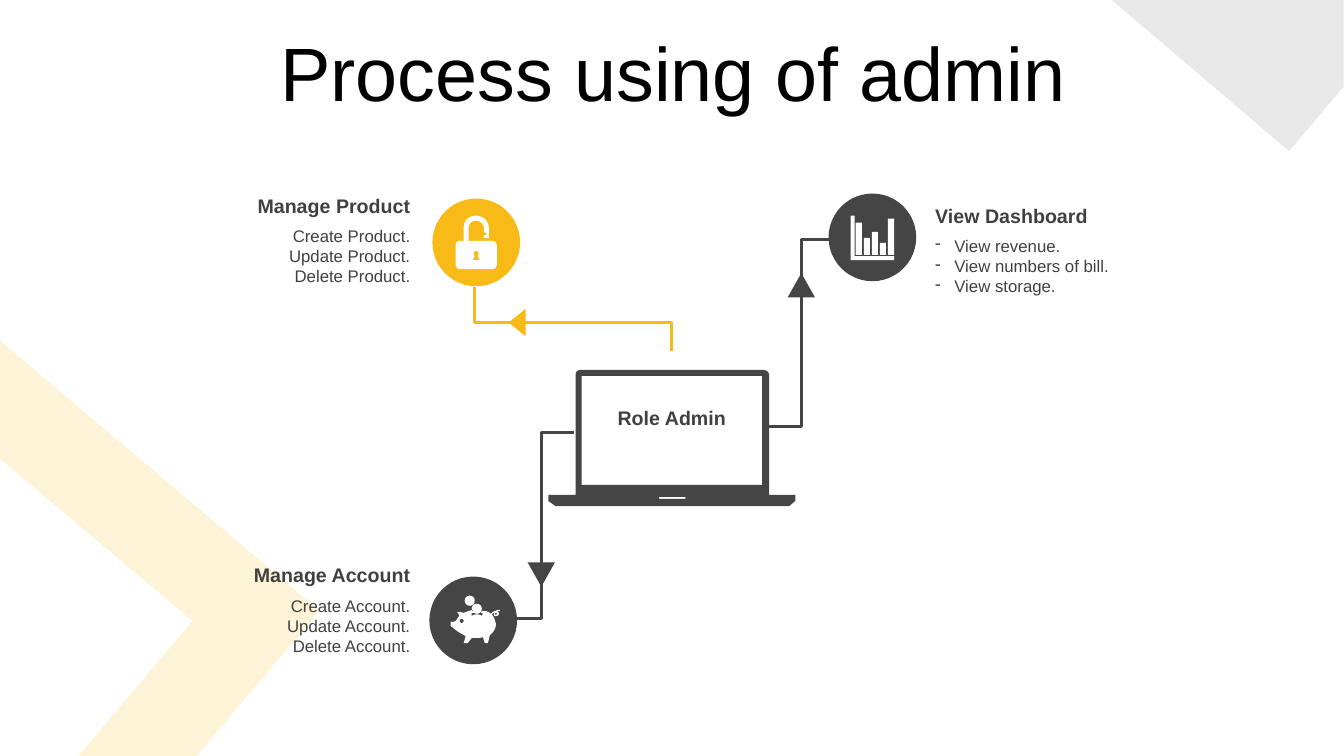
from dataclasses import dataclass
from math import cos, pi, sin

from lxml.etree import SubElement
from pptx import Presentation
from pptx.dml.color import RGBColor
from pptx.enum.shapes import MSO_SHAPE
from pptx.enum.text import MSO_ANCHOR, MSO_AUTO_SIZE, PP_ALIGN
from pptx.oxml.ns import qn
from pptx.util import Pt

PX = 9144  # EMU in one px, 100 px to the inch


@dataclass(frozen=True)
class Theme:
    font: str = "Arial"
    black: str = "000000"
    white: str = "FFFFFF"
    text: str = "404040"
    dark: str = "454545"
    gold: str = "F8BA16"
    title: int = 54
    head: int = 14
    body: int = 12
    line: float = 2.25


T = Theme()


def rgb(color):
    return RGBColor.from_string(color)


def paint(shape, color, alpha=None):
    shape.shadow.inherit = False
    shape.line.fill.background()
    shape.fill.solid()
    shape.fill.fore_color.rgb = rgb(color)
    if alpha:
        tint = shape.fill._xPr.find(".//" + qn("a:srgbClr"))
        SubElement(tint, qn("a:alpha")).set("val", str(alpha * 1000))


# Outlines: a pair is a corner, six numbers are a Bezier curve
def trace(path):
    points = []
    for step in path:
        if len(step) == 2:
            points.append(step)
            continue
        ax, ay = points[-1]
        bx, by, cx, cy, dx, dy = step
        for i in range(1, 9):
            t = i / 8
            u = 1 - t
            w = u ** 3, 3 * u * u * t, 3 * u * t * t, t ** 3
            points.append((w[0] * ax + w[1] * bx + w[2] * cx + w[3] * dx,
                           w[0] * ay + w[1] * by + w[2] * cy + w[3] * dy))
    return points


def disc(x, y, r):
    return [(x + r * cos(i * pi / 12), y + r * sin(i * pi / 12)) for i in range(24)]


def rect(x1, y1, x2, y2):
    return [(x1, y1), (x2, y1), (x2, y2), (x1, y2)]


def draw(slide, left, top, paths, close=True):
    pen = None
    for path in paths:
        points = [((left + x) * PX, (top + y) * PX) for x, y in trace(path)]
        if pen is None:
            pen = slide.shapes.build_freeform(*points[0])
        else:
            pen.move_to(*points[0])
        pen.add_line_segments(points[1:], close=close)
    return pen.convert_to_shape()


def preset(slide, kind, x, y, w, h, color, turn=0):
    shape = slide.shapes.add_shape(kind, x * PX, y * PX, w * PX, h * PX)
    shape.rotation = turn
    paint(shape, color)


def write(slide, x, y, w, h, lines, size, align, bold=False, dash=False):
    frame = slide.shapes.add_textbox(x * PX, y * PX, w * PX, h * PX).text_frame
    frame.word_wrap = True
    frame.text = "\n".join(lines)
    for para in frame.paragraphs:
        para.alignment = align
        if dash:
            props = para._p.get_or_add_pPr()
            props.set("marL", str(19 * PX))
            props.set("indent", str(-19 * PX))
            SubElement(props, qn("a:buChar")).set("char", "-")
        style(para, size, T.text, bold)


def style(para, size, color, bold=False):
    for run in para.runs:
        run.font.name = T.font
        run.font.size = Pt(size)
        run.font.bold = bold
        run.font.color.rgb = rgb(color)


# Pale corner bands
def back(slide):
    band = [(0, 338), (317, 606), (195, 750), (78, 750), (191, 616), (0, 455)]
    paint(draw(slide, 0, 0, [band]), T.gold, 17)
    wedge = [(1103, 0), (1333, 0), (1333, 86), (1279, 150)]
    paint(draw(slide, 0, 0, [wedge]), T.dark, 12)


def title(slide, x, y, w, h):
    box = slide.shapes.title
    box.left, box.top, box.width, box.height = (v * PX for v in (x, y, w, h))
    frame = box.text_frame
    frame.text = "Process using of admin"
    frame.auto_size = MSO_AUTO_SIZE.NONE
    frame.vertical_anchor = MSO_ANCHOR.MIDDLE
    para = frame.paragraphs[0]
    para.alignment = PP_ALIGN.CENTER
    para.line_spacing = 0.9
    style(para, T.title, T.black)


def laptop(slide, x, y):
    case = [(32, 0), (213, 0), (216, 0, 219, 2, 219, 5), (219, 124), (245, 124),
            (245, 130), (239, 135), (7, 135), (0, 130), (0, 124), (27, 124),
            (27, 5), (27, 2, 29, 0, 32, 0)]
    paths = [case, rect(33, 6, 212, 114), rect(110, 126, 136, 128)]
    paint(draw(slide, x, y, paths), T.dark)
    write(slide, x + 51, y + 31, 143, 34, ["Role Admin"], T.head, PP_ALIGN.CENTER, True)


# Bent line with an arrow triangle, its box centred at (x, y)
def route(slide, points, x, y, w, h, turn, color):
    shape = draw(slide, 0, 0, [points], close=False)
    shape.shadow.inherit = False
    shape.fill.background()
    shape.line.color.rgb = rgb(color)
    shape.line.width = Pt(T.line)
    preset(slide, MSO_SHAPE.ISOSCELES_TRIANGLE, x - w / 2, y - h / 2, w, h, color, turn)


# Icon paths, placed inside an 87 px badge
def lock():
    hole = [(43, 52), (42, 52, 41, 53, 41, 54), (41, 55, 41, 56, 42, 57), (40, 61),
            (47, 61), (45, 57), (45, 56, 46, 55, 46, 54), (46, 53, 45, 52, 43, 52)]
    body = [(43, 17), (50, 17, 56, 22, 56, 29), (56, 39), (51, 39), (51, 36), (54, 36),
            (54, 35, 52, 33, 51, 33), (51, 29), (51, 25, 47, 22, 43, 22),
            (39, 22, 36, 25, 36, 29), (36, 42), (59, 42), (62, 42, 64, 44, 64, 47),
            (64, 65), (64, 68, 62, 70, 59, 70), (27, 70), (25, 70, 23, 68, 23, 65),
            (23, 47), (23, 44, 25, 42, 27, 42), (31, 42), (31, 29),
            (31, 22, 36, 17, 43, 17)]
    return [body, hole]


def bars():
    axes = [(22, 22), (26, 22), (26, 62), (65, 62), (65, 66), (22, 66)]
    tops = 29, 44, 38, 49, 25
    return [axes] + [rect(27 + 8 * i, top, 33 + 8 * i, 61) for i, top in enumerate(tops)]


def pig():
    body = [(70, 33), (70, 34), (69, 34, 68, 34, 67, 35), (68, 35, 68, 35, 69, 36),
            (69, 38, 68, 39, 67, 39), (66, 40, 64, 39, 64, 38), (64, 36), (63, 36),
            (63, 37, 62, 37, 62, 38), (64, 40, 65, 43, 66, 47), (66, 52, 63, 56, 60, 58),
            (58, 66), (55, 66), (53, 60), (51, 61, 49, 61, 46, 61), (42, 61), (38, 66),
            (34, 66), (36, 59), (32, 57, 30, 56, 26, 53), (21, 49), (21, 46),
            (21, 44, 22, 45, 24, 45), (26, 44), (27, 43, 28, 41, 29, 40),
            (30, 38, 29, 37, 27, 35), (32, 35, 33, 36, 34, 36), (37, 35, 39, 34, 43, 33),
            (43, 34, 43, 35, 44, 36), (42, 36), (42, 39), (46, 37, 49, 37, 52, 39),
            (53, 37), (52, 36, 52, 36, 51, 36), (52, 35, 52, 34, 53, 34),
            (56, 34, 59, 35, 61, 37), (62, 36, 62, 36, 63, 35), (64, 35, 65, 34, 66, 34),
            (66, 34, 67, 33, 68, 33)]
    return [body, disc(32, 44, 2), disc(66, 37, 1), disc(47, 32, 5), disc(40, 24, 5)]


def badge(slide, x, y, color, icon):
    preset(slide, MSO_SHAPE.OVAL, x, y, 87, 87, color)
    paint(draw(slide, x, y, icon), T.white)


def card(slide, x, y, head, lines, align, dash=False):
    write(slide, x, y, 350, 34, [head], T.head, align, True)
    write(slide, x, y + 32, 350, 71, lines, T.body, align, dash=dash)


def main():
    deck = Presentation()
    deck.slide_width, deck.slide_height = 12192000, 750 * PX
    slide = deck.slides.add_slide(deck.slide_layouts[5])
    back(slide)
    title(slide, 35, 37, 1266, 79)
    # Routes from the laptop to the three tasks
    route(slide, [(569, 429), (537, 429), (537, 614), (510, 614)], 537, 570, 27, 24, 180, T.dark)
    route(slide, [(763, 423), (795, 423), (795, 238), (822, 238)], 795, 283, 27, 24, 0, T.dark)
    route(slide, [(666, 348), (666, 320), (471, 320), (471, 285)], 513, 320, 27, 17, 270, T.gold)
    laptop(slide, 544, 367)
    # Tasks
    badge(slide, 429, 197, T.gold, lock())
    badge(slide, 822, 192, T.dark, bars())
    badge(slide, 426, 572, T.dark, pig())
    for y, noun in (187, "Product"), (554, "Account"):
        lines = [f"{verb} {noun}." for verb in ("Create", "Update", "Delete")]
        card(slide, 67, y, f"Manage {noun}", lines, PP_ALIGN.RIGHT)
    views = ["View revenue.", "View numbers of bill.", "View storage."]
    card(slide, 918, 197, "View Dashboard", views, PP_ALIGN.LEFT, True)
    deck.save("out.pptx")


if __name__ == "__main__":
    main()
